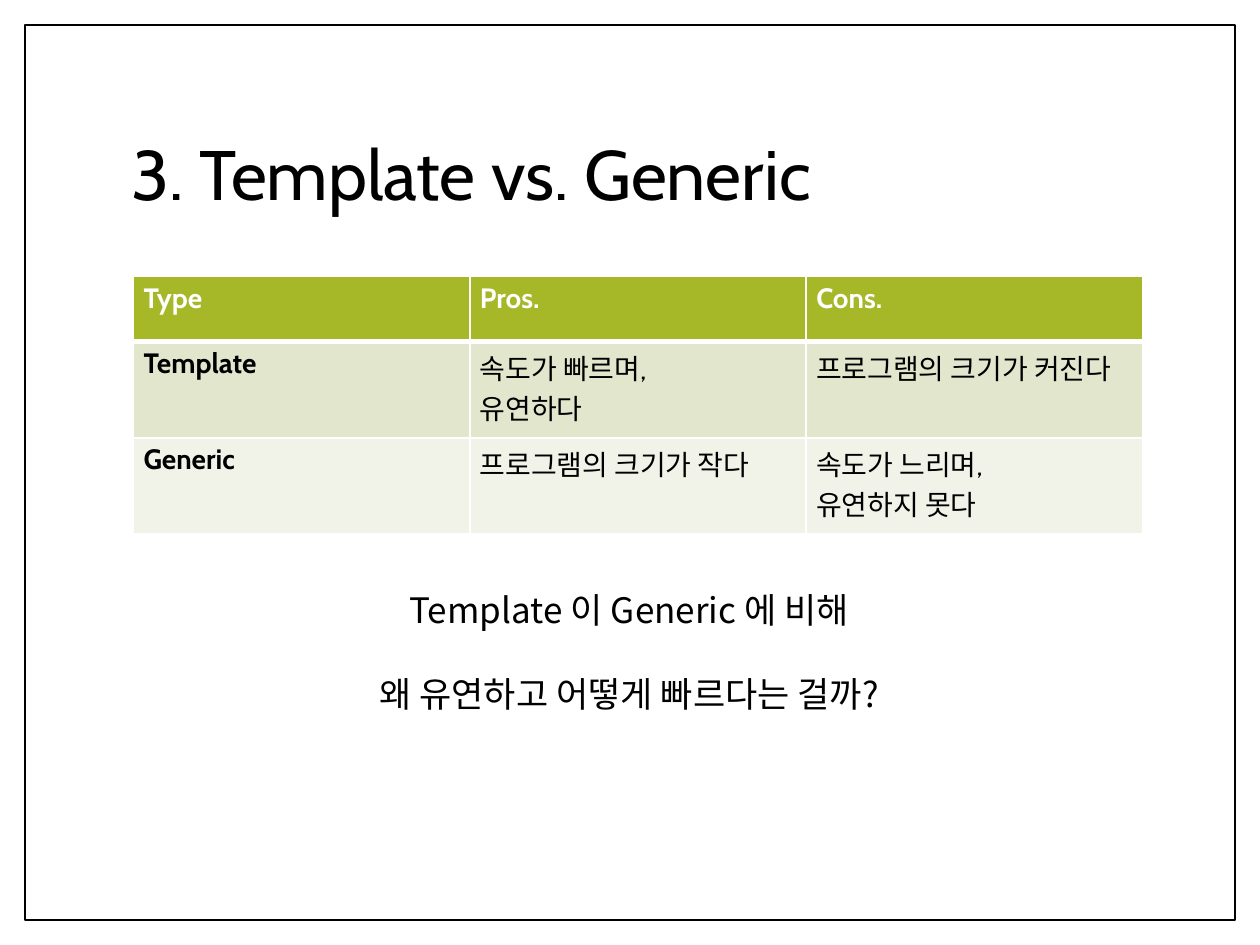
from dataclasses import dataclass

from lxml import etree
from pptx import Presentation
from pptx.dml.color import RGBColor
from pptx.enum.shapes import MSO_SHAPE
from pptx.enum.text import MSO_ANCHOR, PP_ALIGN
from pptx.oxml.ns import qn
from pptx.util import Pt

RECTANGLE = MSO_SHAPE.RECTANGLE
MIDDLE = MSO_ANCHOR.MIDDLE
LEFT, CENTER = PP_ALIGN.LEFT, PP_ALIGN.CENTER
TITLE_ONLY = 5


@dataclass(frozen=True)
class Theme:
    black: str = "000000"
    white: str = "FFFFFF"
    header: str = "A6B727"
    bands: tuple = ("E1E6CD", "F1F3E8")
    latin_font: str = "Cabin"
    korean_font: str = "Noto Sans CJK KR"
    title_size: int = 40
    table_size: int = 16
    question_size: int = 20


class SlideBuilder:
    def __init__(self, slide, theme):
        self.slide = slide
        self.theme = theme

    def add_run(self, paragraph, text, size, color, latin_font, bold=False):
        run = paragraph.add_run()
        run.text = text
        run.font.size = Pt(size)
        run.font.bold = bold
        run.font.name = latin_font
        run.font.color.rgb = RGBColor.from_string(color)
        east_asian = etree.SubElement(run.font._element, qn("a:ea"))
        east_asian.set("typeface", self.theme.korean_font)

    def set_margins(self, target, horizontal, vertical):
        target.margin_left = target.margin_right = Pt(horizontal)
        target.margin_top = target.margin_bottom = Pt(vertical)

    def add_title(self, text, left, top, width, height):
        title = self.slide.shapes.title
        title.left, title.top = Pt(left), Pt(top)
        title.width, title.height = Pt(width), Pt(height)
        title.text_frame.vertical_anchor = MIDDLE
        title.text_frame.word_wrap = True
        paragraph = title.text_frame.paragraphs[0]
        paragraph.alignment = LEFT
        paragraph.line_spacing = 0.9
        self.add_run(paragraph, text, self.theme.title_size, self.theme.black,
                     self.theme.latin_font)

    def add_frame(self, left, top, width, height):
        """Add the outlined page frame behind the title."""
        frame = self.slide.shapes.add_shape(
            RECTANGLE, Pt(left), Pt(top), Pt(width), Pt(height))
        frame.shadow.inherit = False
        frame.fill.solid()
        frame.fill.fore_color.rgb = RGBColor.from_string(self.theme.white)
        frame.line.color.rgb = RGBColor.from_string(self.theme.black)
        frame.line.width = Pt(1)
        self.slide.shapes.title.element.addprevious(frame.element)

    def set_borders(self, cell, widths):
        """Draw borders with widths given by edge tag; call before filling."""
        properties = cell._tc.get_or_add_tcPr()
        for edge, width in widths.items():
            line = etree.SubElement(properties, qn(f"a:{edge}"), w=str(Pt(width)))
            fill = etree.SubElement(line, qn("a:solidFill"))
            etree.SubElement(fill, qn("a:srgbClr"), val=self.theme.white)

    def add_table(self, rows, left, top, column_width, row_heights):
        theme = self.theme
        column_count = len(rows[0])
        table = self.slide.shapes.add_table(
            len(rows), column_count, Pt(left), Pt(top),
            Pt(column_width * column_count), Pt(sum(row_heights))).table
        for column in table.columns:
            column.width = Pt(column_width)
        for row_index, texts in enumerate(rows):
            table.rows[row_index].height = Pt(row_heights[row_index])
            is_header = row_index == 0
            fill_color = theme.header if is_header else theme.bands[(row_index - 1) % 2]
            text_color = theme.white if is_header else theme.black
            widths = {"lnL": 1, "lnR": 1, "lnT": 3 if row_index == 1 else 1,
                      "lnB": 3 if is_header else 1}
            for column_index, text in enumerate(texts):
                cell = table.cell(row_index, column_index)
                self.set_margins(cell, 5.76, 2.88)
                self.set_borders(cell, widths)
                cell.fill.solid()
                cell.fill.fore_color.rgb = RGBColor.from_string(fill_color)
                for line_index, line in enumerate(text.split("\n")):
                    frame = cell.text_frame
                    paragraph = frame.add_paragraph() if line_index else frame.paragraphs[0]
                    self.add_run(paragraph, line, theme.table_size, text_color,
                                 theme.latin_font, is_header or column_index == 0)

    def add_question(self, lines, left, top, width, height):
        box = self.slide.shapes.add_textbox(Pt(left), Pt(top), Pt(width), Pt(height))
        frame = box.text_frame
        frame.word_wrap = True
        self.set_margins(frame, 5.04, 2.88)
        for index, line in enumerate(lines):
            paragraph = frame.add_paragraph() if index else frame.paragraphs[0]
            paragraph.alignment = CENTER
            paragraph.line_spacing = Pt(26)
            if index:
                paragraph.space_before = Pt(22)
            self.add_run(paragraph, line, self.theme.question_size,
                         self.theme.black, self.theme.korean_font)


def main():
    presentation = Presentation()
    presentation.slide_width, presentation.slide_height = Pt(720), Pt(540)
    slide = presentation.slides.add_slide(presentation.slide_layouts[TITLE_ONLY])
    builder = SlideBuilder(slide, Theme())
    builder.add_frame(14.4, 14.4, 691.2, 511.2)
    builder.add_title("3. Template vs. Generic", 67.7, 48.2, 583.2, 106.6)
    builder.add_table(
        [
            ("Type", "Pros.", "Cons."),
            ("Template", "속도가 빠르며,\n유연하다", "프로그램의 크기가 커진다"),
            ("Generic", "프로그램의 크기가 작다", "속도가 느리며,\n유연하지 못다"),
        ],
        76.3, 157.9, 192.2, (37.4, 54.9, 54.9))
    builder.add_question(
        ("Template 이 Generic 에 비해", "왜 유연하고 어떻게 빠르다는 걸까?"),
        141.1, 331.2, 437, 78.5)
    presentation.save("out.pptx")


if __name__ == "__main__":
    main()
